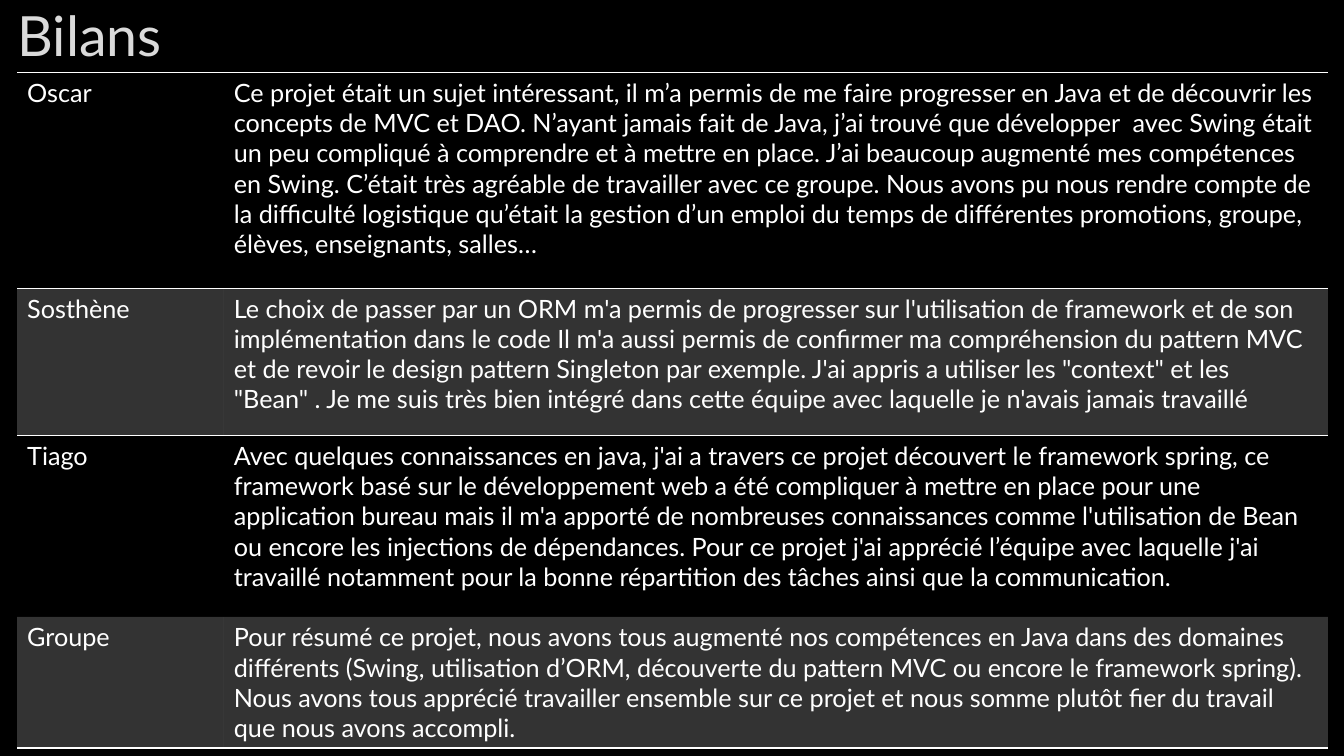
from dataclasses import dataclass

from lxml import etree
from pptx import Presentation
from pptx.dml.color import RGBColor
from pptx.enum.text import MSO_ANCHOR, PP_ALIGN
from pptx.oxml.ns import qn
from pptx.slide import Slide
from pptx.table import Table, _Cell
from pptx.util import Inches, Pt

BLACK = RGBColor(0x00, 0x00, 0x00)
WHITE = RGBColor(0xFF, 0xFF, 0xFF)
LIGHT_GREY = RGBColor(0xDA, 0xDA, 0xDA)
FONT = "Lato"
BOTTOM = MSO_ANCHOR.BOTTOM
CENTER = PP_ALIGN.CENTER

SLIDE_WIDTH, SLIDE_HEIGHT = Inches(13.33), Inches(7.5)
TITLE_WIDTH, TITLE_HEIGHT = Inches(1.78), Inches(0.72)
TABLE_LEFT = Inches(0.17)
COLUMN_WIDTHS = (Inches(2.05), Inches(10.95))
BAND_OPACITY = 20
PLAIN_TABLE_STYLE = "{2D5ABB26-0587-4C30-8999-92F81FD0307C}"


@dataclass
class Review:
    author: str
    text: str
    height: float
    banded: bool = False
    borders: tuple[str, ...] = ()


REVIEWS = [
    Review(
        "Oscar",
        "Ce projet était un sujet intéressant, il m’a permis de me faire progresser en Java "
        "et de découvrir les concepts de MVC et DAO. N’ayant jamais fait de Java, j’ai trouvé "
        "que développer  avec Swing était un peu compliqué à comprendre et à mettre en place. "
        "J’ai beaucoup augmenté mes compétences en Swing. C’était très agréable de travailler "
        "avec ce groupe. Nous avons pu nous rendre compte de la difficulté logistique qu’était "
        "la gestion d’un emploi du temps de différentes promotions, groupe, élèves, "
        "enseignants, salles…",
        2.14, borders=("lnT", "lnB"),
    ),
    Review(
        "Sosthène",
        "Le choix de passer par un ORM m'a permis de progresser sur l'utilisation de framework "
        "et de son implémentation dans le code Il m'a aussi permis de confirmer ma "
        "compréhension du pattern MVC et de revoir le design pattern Singleton par exemple. "
        'J\'ai appris a utiliser les "context" et les "Bean" . Je me suis très bien intégré '
        "dans cette équipe avec laquelle je n'avais jamais travaillé",
        1.46, banded=True, borders=("lnT",),
    ),
    Review(
        "Tiago",
        "Avec quelques connaissances en java, j'ai a travers ce projet découvert le framework "
        "spring, ce framework basé sur le développement web a été compliquer à mettre en place "
        "pour une application bureau mais il m'a apporté de nombreuses connaissances comme "
        "l'utilisation de Bean ou encore les injections de dépendances. Pour ce projet j'ai "
        "apprécié l’équipe avec laquelle j'ai travaillé notamment pour la bonne répartition "
        "des tâches ainsi que la communication.",
        1.8,
    ),
    Review(
        "Groupe",
        "Pour résumé ce projet, nous avons tous augmenté nos compétences en Java dans des "
        "domaines différents (Swing, utilisation d’ORM, découverte du pattern MVC ou encore le "
        "framework spring). Nous avons tous apprécié travailler ensemble sur ce projet et nous "
        "somme plutôt fier du travail que nous avons accompli.",
        1.27, banded=True, borders=("lnB",),
    ),
]


def add_title(slide: Slide, text: str) -> None:
    frame = slide.shapes.add_textbox(0, 0, TITLE_WIDTH, TITLE_HEIGHT).text_frame
    frame.word_wrap = True
    frame.vertical_anchor = BOTTOM
    paragraph = frame.paragraphs[0]
    paragraph.text = text
    paragraph.alignment = CENTER
    paragraph.font.name = FONT
    paragraph.font.size = Pt(39.6)
    paragraph.font.color.rgb = LIGHT_GREY


def fill_cell(cell: _Cell, banded: bool) -> None:
    if not banded:
        cell.fill.background()
        return
    cell.fill.solid()
    cell.fill.fore_color.rgb = WHITE
    color = cell._tc.tcPr.find(f"{qn('a:solidFill')}/{qn('a:srgbClr')}")
    etree.SubElement(color, qn("a:alpha"), val=str(BAND_OPACITY * 1000))


def add_borders(cell: _Cell, sides: tuple[str, ...]) -> None:
    # Border lines come before the fill in the cell properties
    for position, side in enumerate(sides):
        line = etree.Element(qn(f"a:{side}"), w=str(Pt(1)))
        solid = etree.SubElement(line, qn("a:solidFill"))
        etree.SubElement(solid, qn("a:srgbClr"), val=str(WHITE))
        cell._tc.get_or_add_tcPr().insert(position, line)


def write_row(table: Table, index: int, review: Review) -> None:
    table.rows[index].height = Inches(review.height)
    for column, text in enumerate((review.author, review.text)):
        cell = table.cell(index, column)
        cell.text = text
        font = cell.text_frame.paragraphs[0].font
        font.name = FONT
        font.size = Pt(18)
        font.color.rgb = WHITE
        fill_cell(cell, review.banded)
        add_borders(cell, review.borders)


def add_reviews(slide: Slide) -> None:
    height = Inches(sum(review.height for review in REVIEWS))
    table = slide.shapes.add_table(
        len(REVIEWS), len(COLUMN_WIDTHS), TABLE_LEFT, TITLE_HEIGHT, sum(COLUMN_WIDTHS), height
    ).table
    table.first_row = False
    table.horz_banding = False
    table._tbl.tblPr.find(qn("a:tableStyleId")).text = PLAIN_TABLE_STYLE
    for column, width in zip(table.columns, COLUMN_WIDTHS):
        column.width = width
    for index, review in enumerate(REVIEWS):
        write_row(table, index, review)


def main() -> None:
    presentation = Presentation()
    presentation.slide_width = SLIDE_WIDTH
    presentation.slide_height = SLIDE_HEIGHT
    slide = presentation.slides.add_slide(presentation.slide_layouts[6])

    # Background
    slide.background.fill.solid()
    slide.background.fill.fore_color.rgb = BLACK

    # Title and table of reviews
    add_title(slide, "Bilans")
    add_reviews(slide)
    presentation.save("out.pptx")


if __name__ == "__main__":
    main()
